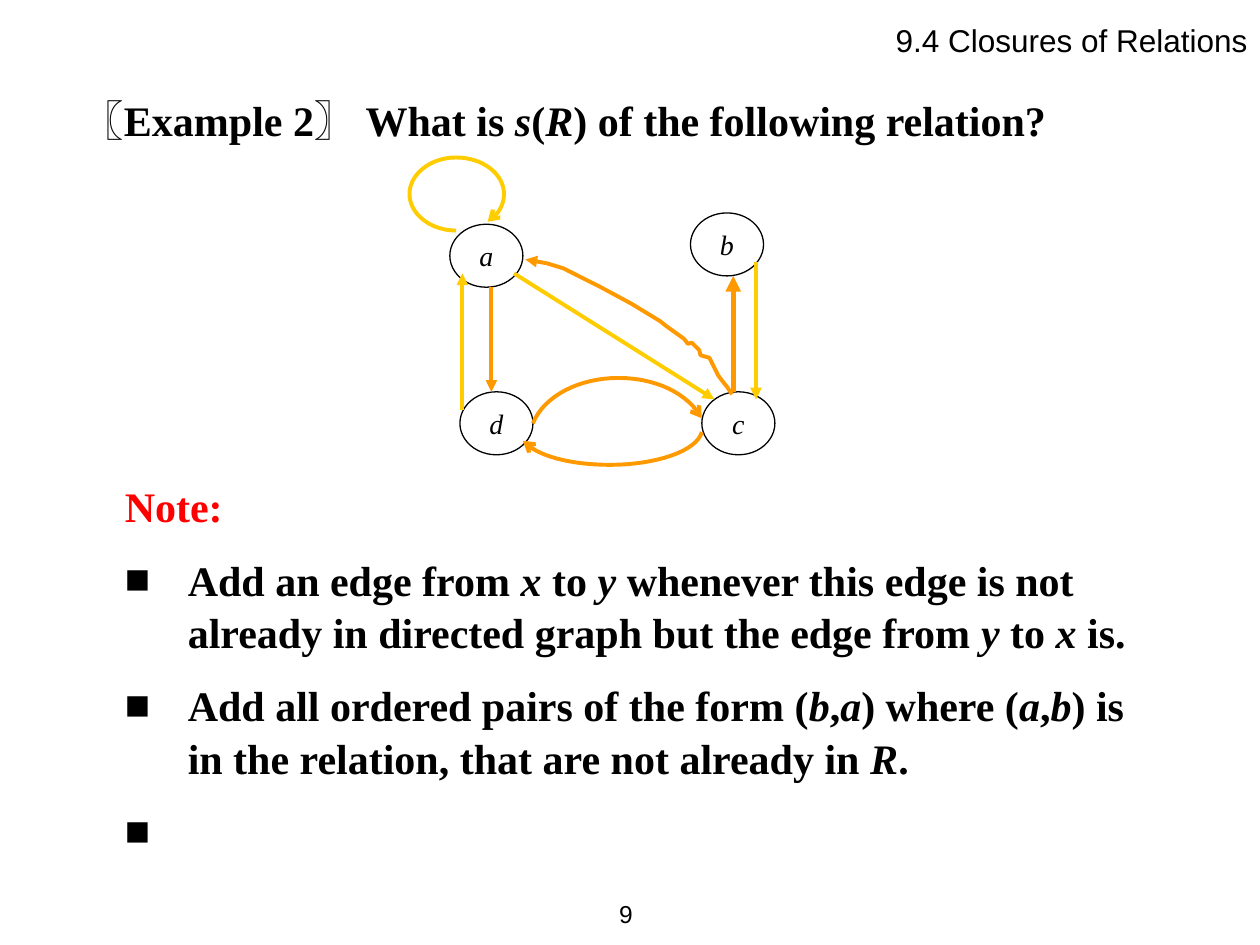
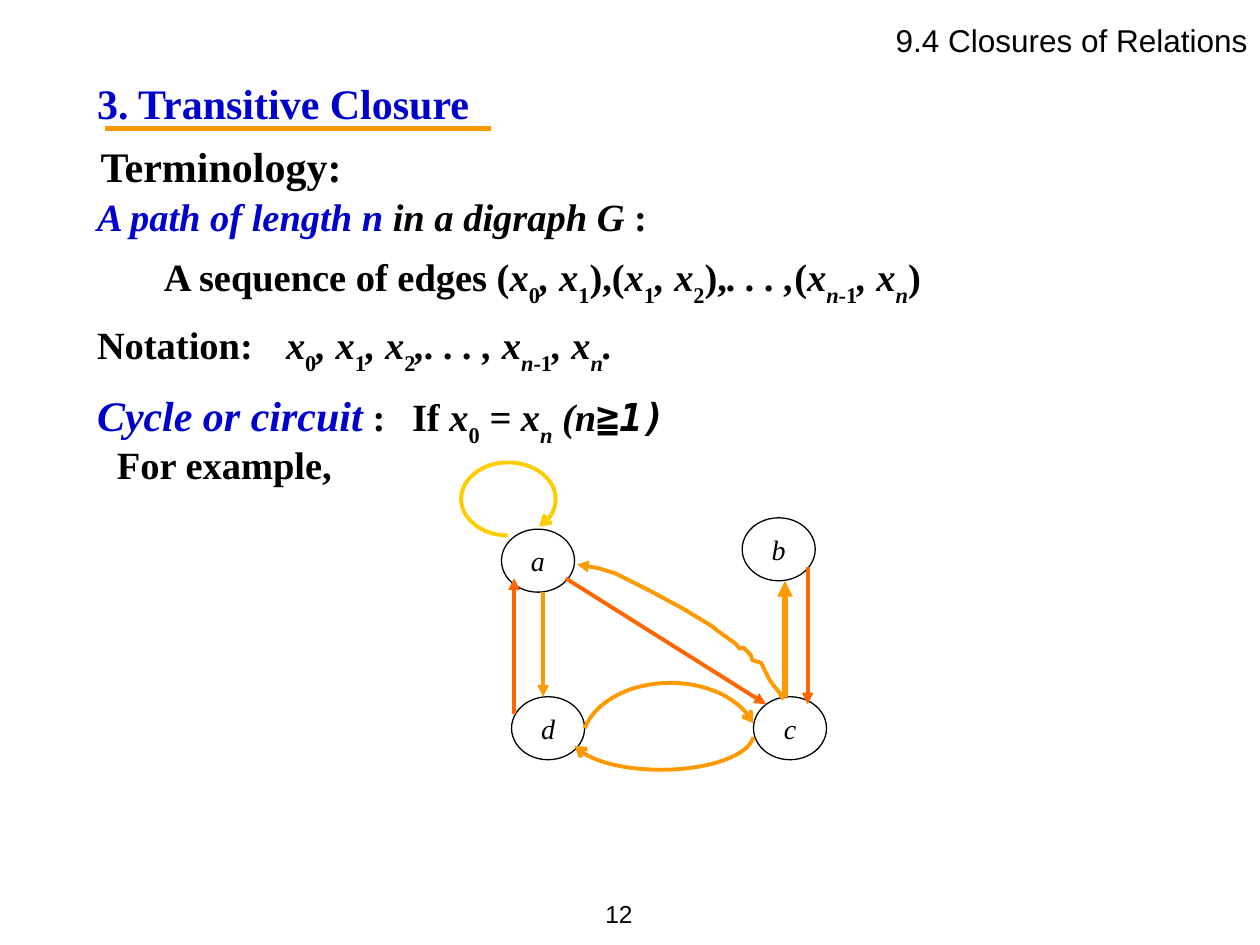
from dataclasses import dataclass

from lxml.etree import SubElement
from pptx import Presentation
from pptx.dml.color import RGBColor
from pptx.enum.shapes import MSO_CONNECTOR as Connector, MSO_SHAPE as Shape
from pptx.enum.text import MSO_ANCHOR as Anchor, MSO_AUTO_SIZE as AutoSize, PP_ALIGN as Align
from pptx.oxml.ns import qn
from pptx.util import Inches, Pt


@dataclass(frozen=True)
class Theme:
    serif: str = "Times New Roman"
    sans: str = "Arial"
    mono: str = "DejaVu Sans Mono"
    black: str = "000000"
    blue: str = "0000CC"
    red: str = "FF0000"
    orange: str = "FF9900"
    yellow: str = "FFCC00"
    vermilion: str = "FF6600"
    heading: int = 24
    text: int = 22
    header: int = 18
    node: int = 16
    number: int = 14
    leading: float = 1.04
    thin: float = 0.75
    edge: float = 2.25
    thick: float = 3


THEME = Theme()

# Directed graph, in inches from the corner of its box
NODE_SIZE = (0.58, 0.5)
NODES = {"a": (0.32, 0.53), "d": (0.4, 1.86), "b": (2.23, 0.44), "c": (2.32, 1.86)}
GIVEN_EDGES = [
    ((2.57, 1.86), (2.57, 0.94), THEME.thick),
    ((0.65, 1.03), (0.65, 1.86), THEME.edge),
]
ADDED_EDGES = [
    ((0.42, 2), (0.42, 0.92), THEME.edge),
    ((2.75, 0.83), (2.75, 1.92), THEME.edge),
    ((0.83, 0.92), (2.42, 1.92), THEME.edge),
]
# Each arc starts at its arrowhead; every further three points are one Bezier piece
ARC_TO_C = [(2.32, 2.07), (2.21, 1.87), (1.95, 1.75), (1.66, 1.75),
            (1.35, 1.75), (1.07, 1.89), (0.98, 2.11)]
ARC_TO_D = [(0.9, 2.25), (1.01, 2.37), (1.28, 2.44), (1.59, 2.44),
            (1.96, 2.44), (2.28, 2.33), (2.32, 2.18)]
LOOP_AT_A = [(0.62, 0.51), (0.7, 0.46), (0.75, 0.38), (0.75, 0.29),
             (0.75, 0.13), (0.58, 0), (0.37, 0),
             (0.17, 0), (0, 0.13), (0, 0.29),
             (0, 0.45), (0.17, 0.58), (0.37, 0.58)]
HAND_DRAWN_TO_A = [(0.92, 0.81), (1.09, 0.84), (1.22, 0.88), (1.5, 1.02), (1.76, 1.16),
                   (1.99, 1.3), (2.04, 1.34), (2.18, 1.44), (2.21, 1.48), (2.24, 1.47),
                   (2.3, 1.53), (2.31, 1.57), (2.38, 1.59), (2.45, 1.73), (2.48, 1.77),
                   (2.52, 1.82), (2.56, 1.88)]


# Text
def write(para, marked, size=THEME.heading, font=THEME.serif, color=THEME.black,
          bold=True, italic=False):
    """Add marked text: * switches italics, _ switches subscript."""
    subscript, piece = False, ""
    for sign in marked + "\0":
        if sign not in "*_\0":
            piece += sign
            continue
        if piece:
            span = para.add_run()
            span.text = piece
            span.font.size, span.font.name = Pt(size), font
            span.font.bold, span.font.italic = bold, italic
            span.font.color.rgb = RGBColor.from_string(color)
            if subscript:
                span._r.get_or_add_rPr().set("baseline", "-30000")
            piece = ""
        italic ^= sign == "*"
        subscript ^= sign == "_"


def new_para(frame, align=Align.LEFT, before=0, leading=THEME.leading,
             left=0, hang=0, bullet=None, tab=None):
    para = frame.paragraphs[0]
    if para.runs:
        para = frame.add_paragraph()
    para.alignment = align
    para.space_before, para.line_spacing = Pt(before), leading
    props = para._p.get_or_add_pPr()
    props.set("marL", str(Inches(left)))
    props.set("indent", str(Inches(-hang)))
    if bullet:
        SubElement(props, qn("a:buFont")).set("typeface", THEME.sans)
        SubElement(props, qn("a:buChar")).set("char", bullet)
    else:
        SubElement(props, qn("a:buNone"))
    if tab:
        stop = SubElement(SubElement(props, qn("a:tabLst")), qn("a:tab"))
        stop.set("pos", str(Inches(tab)))
        stop.set("algn", "l")
    return para


def set_box(shape, box, anchor=Anchor.TOP):
    shape.left, shape.top, shape.width, shape.height = map(Inches, box)
    frame = shape.text_frame
    frame.word_wrap, frame.auto_size = True, AutoSize.NONE
    frame.vertical_anchor = anchor
    return frame


def add_label(page, box, text, align=Align.LEFT, anchor=Anchor.TOP, leading=THEME.leading,
              **style):
    frame = set_box(page.shapes.add_textbox(0, 0, 0, 0), box, anchor)
    write(new_para(frame, align, leading=leading), text, **style)


# Lines
def style_line(shape, color, width, **ends):
    shape.line.color.rgb = RGBColor.from_string(color)
    shape.line.width = Pt(width)
    line = shape._element.spPr.find(qn("a:ln"))
    for end, kind in ends.items():
        SubElement(line, qn(f"a:{end}")).set("type", kind)


def add_line(page, start, stop, color, width, **ends):
    line = page.shapes.add_connector(Connector.STRAIGHT, *map(Inches, start + stop))
    style_line(line, color, width, **ends)
    SubElement(line._element.spPr, qn("a:effectLst"))


def add_curve(page, points, color, head):
    (x, y), *rest = [(Inches(px), Inches(py)) for px, py in points]
    builder = page.shapes.build_freeform(x, y)
    builder.add_line_segments(rest, close=False)
    curve = builder.convert_to_shape()
    curve.shadow.inherit = False
    curve.fill.background()
    style_line(curve, color, THEME.edge, headEnd=head)


def bezier_points(controls, steps=16):
    points = [controls[0]]
    for first in range(0, len(controls) - 1, 3):
        piece = controls[first:first + 4]
        for step in range(1, steps + 1):
            t = step / steps
            weights = ((1 - t) ** 3, 3 * t * (1 - t) ** 2, 3 * t * t * (1 - t), t ** 3)
            points.append(tuple(sum(w * p[axis] for w, p in zip(weights, piece))
                                for axis in (0, 1)))
    return points


# Regions
def add_graph(page, left, top, added_color):
    def place(point):
        return left + point[0], top + point[1]

    for name, corner in NODES.items():
        node = page.shapes.add_shape(Shape.OVAL, 0, 0, 0, 0)
        frame = set_box(node, place(corner) + NODE_SIZE, Anchor.MIDDLE)
        frame.word_wrap = False
        node.shadow.inherit = False
        node.fill.background()
        style_line(node, THEME.black, THEME.thin)
        write(new_para(frame, Align.CENTER, leading=1), name, size=THEME.node,
              bold=False, italic=True)

    for edges, color in ((GIVEN_EDGES, THEME.orange), (ADDED_EDGES, added_color)):
        for start, stop, width in edges:
            add_line(page, place(start), place(stop), color, width, tailEnd="triangle")

    for points, color, head in (
        (bezier_points(ARC_TO_C), THEME.orange, "arrow"),
        (bezier_points(ARC_TO_D), THEME.orange, "arrow"),
        (HAND_DRAWN_TO_A, THEME.orange, "triangle"),
        (bezier_points(LOOP_AT_A), THEME.yellow, "arrow"),
    ):
        add_curve(page, [place(point) for point in points], color, head)


def add_page(deck, number, title_box, body_box):
    """Return a page with header and number, and its title and body frames."""
    page = deck.slides.add_slide(deck.slide_layouts[1])
    title = set_box(page.shapes.title, title_box)
    body = set_box(page.placeholders[1], body_box)
    add_label(page, (5.25, 0.12, 4.75, 0.4), "9.4 Closures of Relations", Align.RIGHT,
              leading=1, size=THEME.header, font=THEME.sans, bold=False)
    add_label(page, (4.45, 7, 0.67, 0.5), str(number), Align.RIGHT, Anchor.MIDDLE,
              leading=1, size=THEME.number, font=THEME.sans, bold=False)
    return page, title, body


# Slides
def add_symmetric_example(deck):
    page, title, body = add_page(deck, 9, (0.55, 0.7, 9.17, 0.5), (0.39, 3.75, 8.92, 3.1))
    para = new_para(title, leading=1)
    write(para, "〖", font=THEME.sans)
    write(para, "Example 2")
    write(para, "〗 ", font=THEME.sans)
    write(para, "What is* s*(*R*) of the following relation?")

    add_graph(page, 3.25, 1.25, THEME.yellow)

    notes = dict(before=12, left=1, hang=0.5)
    write(new_para(body, **notes), "Note:", color=THEME.red)
    for note in (
        "Add an edge from *x* to *y* whenever this edge is not already in directed graph "
        "but the edge from *y* to *x* is.",
        "Add all ordered pairs of the form (*b*,*a*) where (*a*,*b*) is in the relation, "
        "that are not already in *R*.",
        " ",
    ):
        write(new_para(body, bullet="■", **notes), note)


def add_transitive_closure(deck):
    page, title, body = add_page(deck, 12, (0.67, 0.55, 8.83, 0.5), (0.67, 1.47, 8.42, 1.96))
    write(new_para(title), "3. Transitive Closure", color=THEME.blue)
    add_line(page, (0.83, 1.02), (3.9, 1.02), THEME.orange, THEME.thick)
    add_label(page, (0.7, 1.05, 7.97, 0.51), "Terminology:")

    # Definitions
    size, gap = THEME.text, 6.6
    para = new_para(body, before=gap)
    write(para, "*A path of length n *", size=size, color=THEME.blue)
    write(para, "*in a digraph G *:", size=size)
    write(new_para(body, before=gap, left=0.53),
          "A sequence of edges (*x*_0_*, x*_1_),(*x*_1_*, x*_2_),*. . . ,*"
          "(*x_n*-1_*, x_n_*)", size=size)
    write(new_para(body, before=gap, tab=1.46),
          "Notation:\t*x*_0_*, x*_1_*, x*_2_*,. . . , x_n*-1_*, x_n_.*", size=size)
    para = new_para(body, before=gap, tab=2.57)
    write(para, "*Cycle or circuit*", color=THEME.blue)
    write(para, " :\tIf *x*_0_* = x_n_ (n*", size=size)
    write(para, "≧1)", size=size, font=THEME.mono, italic=True)

    add_label(page, (0.83, 3.44, 9.17, 0.47), "For example,", size=size)
    add_graph(page, 3.66, 3.67, THEME.vermilion)


def main():
    deck = Presentation()
    deck.slide_width, deck.slide_height = Inches(10), Inches(7.5)
    add_symmetric_example(deck)
    add_transitive_closure(deck)
    deck.save("out.pptx")


if __name__ == "__main__":
    main()
